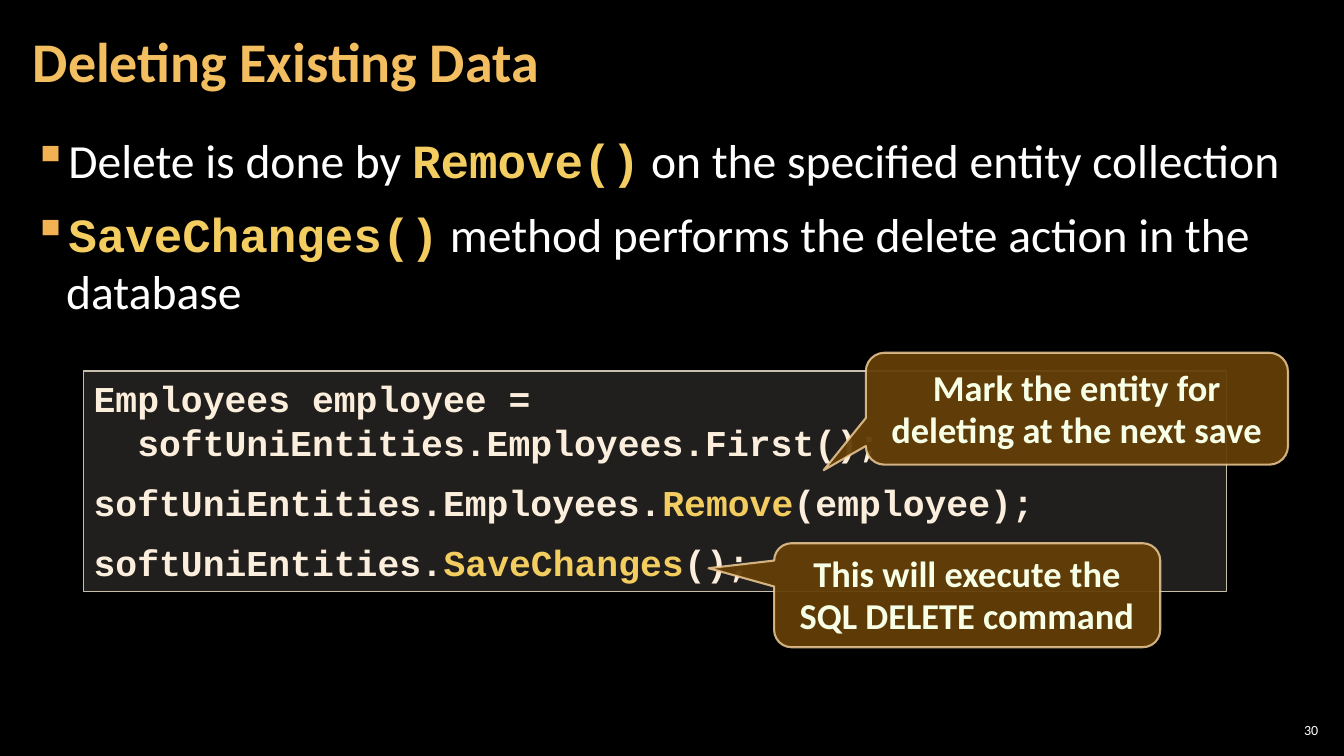
import dataclasses

import lxml.etree
import pptx
import pptx.dml.color
import pptx.enum.shapes
import pptx.enum.text
import pptx.oxml.ns
import pptx.util

Cm = pptx.util.Cm
Pt = pptx.util.Pt
qn = pptx.oxml.ns.qn
Align = pptx.enum.text.PP_ALIGN
Anchor = pptx.enum.text.MSO_ANCHOR
Shape = pptx.enum.shapes.MSO_SHAPE


@dataclasses.dataclass(frozen=True)
class Theme:
    sans: str = "Calibri"
    mono: str = "Courier New"
    background: str = "000000"
    text: str = "FFFFFF"
    title: str = "F3BE60"
    bullet: str = "F2B254"
    keyword: str = "F3CD60"
    code_text: str = "FBEEDC"
    code_fill: str = "D9D5C7"
    code_line: str = "C7BFAC"
    callout_text: str = "F7FFE7"
    callout_fill: str = "643F07"
    callout_line: str = "F8D49E"
    title_size: int = 40
    body_size: int = 34
    code_size: int = 26
    callout_size: int = 26
    number_size: int = 10


def rgb(color):
    return pptx.dml.color.RGBColor.from_string(color)


def paint(paint_format, color, opacity=100):
    """Give a fill a solid colour with an opacity in percent."""
    paint_format.solid()
    paint_format.fore_color.rgb = rgb(color)
    if opacity < 100:
        element = paint_format._xPr.find(qn("a:solidFill"))[0]
        lxml.etree.SubElement(element, qn("a:alpha"), val=str(opacity * 1000))


class SlideBuilder:
    def __init__(self, deck, theme):
        self.theme = theme
        self.slide = deck.slides.add_slide(deck.slide_layouts[6])
        paint(self.slide.background.fill, theme.background)

    def add_span(self, para, text, size, color, font=None, bold=False):
        span = para.add_run()
        span.text = text
        span.font.name = font or self.theme.sans
        span.font.size = Pt(size)
        span.font.bold = bold
        span.font.color.rgb = rgb(color)

    def add_marked_spans(self, para, parts, size, color, font=None, bold=False):
        """Add parts in turn; every second one is a highlighted keyword."""
        for index, part in enumerate(parts):
            if not part:
                continue
            if index % 2:
                self.add_span(para, part, size, self.theme.keyword, self.theme.mono, True)
            else:
                self.add_span(para, part, size, color, font, bold)

    def text_box(self, place, anchor=Anchor.TOP, side=0.3):
        box = self.slide.shapes.add_textbox(*map(Cm, place))
        frame = box.text_frame
        frame.word_wrap = True
        frame.vertical_anchor = anchor
        frame.margin_left = frame.margin_right = Cm(side)
        frame.margin_top = frame.margin_bottom = Cm(0.1)
        return frame

    def panel(self, kind, place, fill, opacity, line, width, line_opacity=100):
        shape = self.slide.shapes.add_shape(kind, *map(Cm, place))
        shape.shadow.inherit = False
        paint(shape.fill, fill, opacity)
        paint(shape.line.fill, line, line_opacity)
        shape.line.width = Pt(width)
        shape.text_frame.word_wrap = True
        return shape

    def title(self, text, place):
        para = self.text_box(place, Anchor.MIDDLE).paragraphs[0]
        para.line_spacing = 0.9
        self.add_span(para, text, self.theme.title_size, self.theme.title, bold=True)

    def page_number(self, text, place):
        para = self.text_box(place, Anchor.MIDDLE, 0.1).paragraphs[0]
        para.alignment = Align.RIGHT
        self.add_span(para, text, self.theme.number_size, self.theme.text)

    def bullets(self, items, place):
        frame = self.text_box(place)
        for index, parts in enumerate(items):
            para = frame.add_paragraph() if index else frame.paragraphs[0]
            para.space_before = Pt(6 if index else 0)
            para.space_after = Pt(6)
            properties = para._p.get_or_add_pPr()
            properties.set("marL", str(Cm(0.84)))
            properties.set("indent", str(-Cm(0.84)))
            color = lxml.etree.SubElement(properties, qn("a:buClr"))
            lxml.etree.SubElement(color, qn("a:srgbClr"), val=self.theme.bullet)
            lxml.etree.SubElement(properties, qn("a:buChar"), char="▪")
            self.add_marked_spans(para, parts, self.theme.body_size, self.theme.text)

    def code(self, lines, place):
        """Draw a code panel from pairs of space before and line parts."""
        theme = self.theme
        panel = self.panel(Shape.RECTANGLE, place, theme.code_fill, 15, theme.code_line, 1)
        frame = panel.text_frame
        frame.vertical_anchor = Anchor.TOP
        for index, (space, parts) in enumerate(lines):
            para = frame.add_paragraph() if index else frame.paragraphs[0]
            para.alignment = Align.LEFT
            para.space_before = Pt(space)
            self.add_marked_spans(para, parts, theme.code_size, theme.code_text,
                                  theme.mono, True)

    def callout(self, text, place, tip):
        """Draw a callout whose tip is given as fractions of its size."""
        theme = self.theme
        shape = self.panel(Shape.ROUNDED_RECTANGULAR_CALLOUT, place, theme.callout_fill, 95,
                           theme.callout_line, 1.5, 80)
        shape.adjustments[0], shape.adjustments[1] = tip
        shape.text_frame.vertical_anchor = Anchor.MIDDLE
        para = shape.text_frame.paragraphs[0]
        para.alignment = Align.CENTER
        para.line_spacing = Pt(30)
        self.add_span(para, text, theme.callout_size, theme.callout_text, bold=True)


def main():
    deck = pptx.Presentation()
    deck.slide_width, deck.slide_height = Cm(33.87), Cm(19.05)
    page = SlideBuilder(deck, Theme())
    page.page_number("30", (32.13, 18.14, 1.19, 0.53))
    page.bullets([
        ("Delete is done by ", "Remove()", " on the specified entity collection"),
        ("", "SaveChanges()", " method performs the delete action in the database"),
    ], (0.53, 3.2, 32.79, 15.47))
    page.title("Deleting Existing Data", (0.53, 0.1, 26.59, 3.07))
    page.code([
        (0, ("Employees employee =",)),
        (0, ("  softUniEntities.Employees.First();",)),
        (12, ("softUniEntities.Employees.", "Remove", "(employee);")),
        (12, ("softUniEntities.", "SaveChanges", "();")),
    ], (2.11, 9.35, 28.8, 5.56))
    page.callout("Mark the entity for deleting at the next save",
                 (21.82, 8.89, 10.64, 2.82), (-0.6, 0.55))
    page.callout("This will execute the SQL DELETE command",
                 (19.51, 13.69, 9.73, 2.62), (-0.67, -0.26))
    deck.save("out.pptx")


if __name__ == "__main__":
    main()
